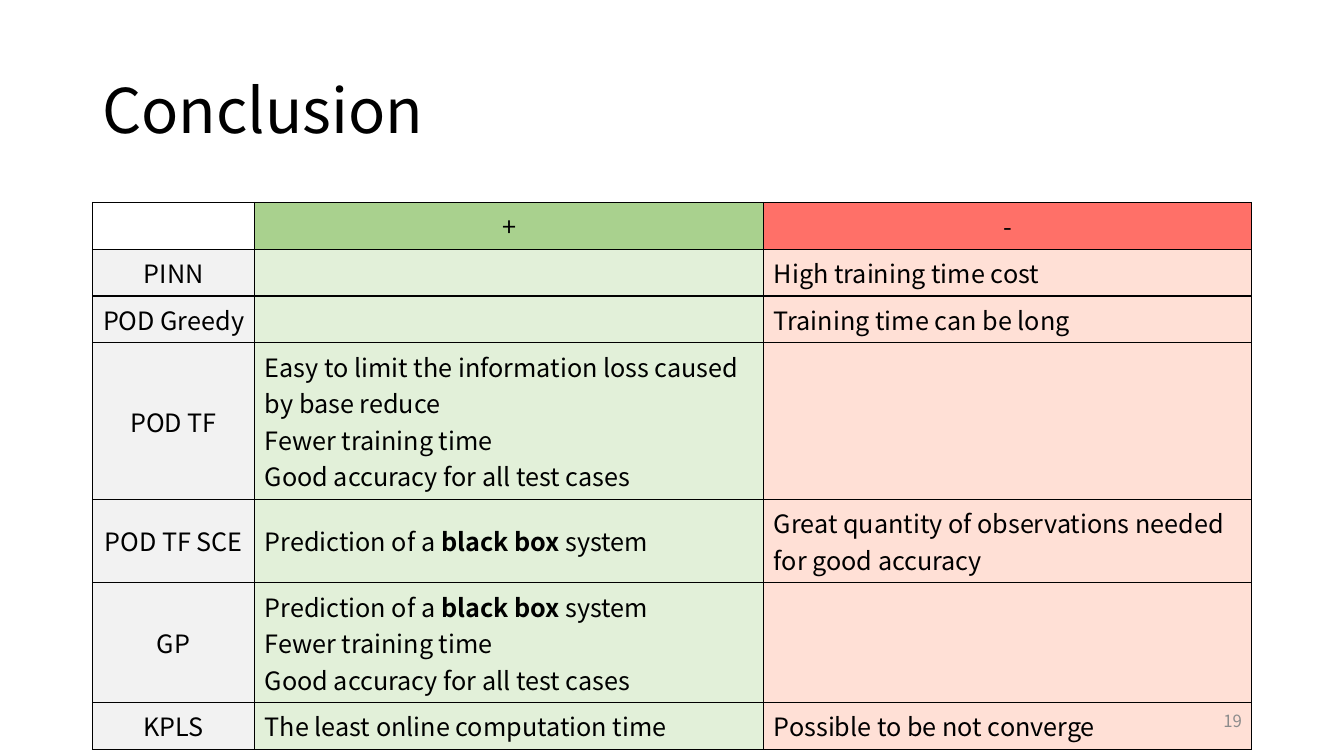
from lxml import etree
from pptx import Presentation
from pptx import util as u
from pptx.dml.color import RGBColor
from pptx.enum import text
from pptx.oxml import ns

FONT = "Noto Sans CJK SC"
BLACK = RGBColor(0x00, 0x00, 0x00)
PAGE_GREY = RGBColor(0x8C, 0x8C, 0x8C)
METHOD_GREY = RGBColor(0xF2, 0xF2, 0xF2)
PLUS_HEADER = RGBColor(0xA9, 0xD1, 0x8E)
PLUS_BODY = RGBColor(0xE2, 0xF0, 0xD9)
MINUS_HEADER = RGBColor(0xFF, 0x70, 0x68)
MINUS_BODY = RGBColor(0xFF, 0xE0, 0xD6)

HEADER_FILLS = (None, PLUS_HEADER, MINUS_HEADER)
BODY_FILLS = (METHOD_GREY, PLUS_BODY, MINUS_BODY)
COLUMN_WIDTHS = (4.09, 12.83, 12.29)
LINE_HEIGHT = 0.92
ROW_PADDING = 0.26
LINES_PER_ROW = (1, 1, 1, 4, 2, 3, 1)
ROW_HEIGHTS = [ROW_PADDING + LINE_HEIGHT * lines for lines in LINES_PER_ROW]

BLACK_BOX = "Prediction of a **black box **system"
FAST_AND_ACCURATE = "Fewer training time\nGood accuracy for all test cases"
COMPARISON = [
    ("", "+", "-"),
    ("PINN", "", "High training time cost"),
    ("POD Greedy", "", "Training time can be long"),
    ("POD TF",
     "Easy to limit the information loss caused by base reduce\n" + FAST_AND_ACCURATE, ""),
    ("POD TF SCE", BLACK_BOX, "Great quantity of observations needed for good accuracy"),
    ("GP", BLACK_BOX + "\n" + FAST_AND_ACCURATE, ""),
    ("KPLS", "The least online computation time", "Possible to be not converge"),
]


def write_text(frame, content, size=18, color=BLACK, align=text.PP_ALIGN.LEFT, spacing=None):
    frame.word_wrap = True
    for index, line in enumerate(content.split("\n")):
        paragraph = frame.paragraphs[0] if index == 0 else frame.add_paragraph()
        paragraph.alignment = align
        paragraph.line_spacing = spacing
        paragraph.font.size = u.Pt(size)
        for position, part in enumerate(line.split("**")):
            if part:
                run = paragraph.add_run()
                run.text = part
                run.font.name = FONT
                run.font.size = u.Pt(size)
                run.font.bold = position % 2 == 1
                run.font.color.rgb = color


def add_text_box(slide, box, content, **text_format):
    shape = slide.shapes.add_textbox(*map(u.Cm, box))
    shape.text_frame.vertical_anchor = text.MSO_ANCHOR.MIDDLE
    write_text(shape.text_frame, content, **text_format)


def style_cell(cell, fill):
    properties = cell._tc.get_or_add_tcPr()
    for side in ("a:lnL", "a:lnR", "a:lnT", "a:lnB"):
        border = etree.SubElement(properties, ns.qn(side), w=str(u.Pt(1)))
        solid = etree.SubElement(border, ns.qn("a:solidFill"))
        etree.SubElement(solid, ns.qn("a:srgbClr"), val=str(BLACK))
    cell.vertical_anchor = text.MSO_ANCHOR.MIDDLE
    if fill is None:
        cell.fill.background()
    else:
        cell.fill.solid()
        cell.fill.fore_color.rgb = fill


def add_comparison(slide, left, top):
    table = slide.shapes.add_table(
        len(COMPARISON), len(COLUMN_WIDTHS), u.Cm(left), u.Cm(top),
        u.Cm(sum(COLUMN_WIDTHS)), u.Cm(sum(ROW_HEIGHTS))).table
    table.first_row = False
    table.horz_banding = False
    for column, width in zip(table.columns, COLUMN_WIDTHS):
        column.width = u.Cm(width)
    for row_index, entries in enumerate(COMPARISON):
        table.rows[row_index].height = u.Cm(ROW_HEIGHTS[row_index])
        fills = BODY_FILLS if row_index else HEADER_FILLS
        for column_index, (entry, fill) in enumerate(zip(entries, fills)):
            cell = table.cell(row_index, column_index)
            style_cell(cell, fill)
            centred = row_index == 0 or column_index == 0
            align = text.PP_ALIGN.CENTER if centred else text.PP_ALIGN.LEFT
            write_text(cell.text_frame, entry, align=align)


def build_conclusion(presentation):
    slide = presentation.slides.add_slide(presentation.slide_layouts[6])
    add_text_box(slide, (2.33, 1.01, 29.21, 3.68), "Conclusion", size=44, spacing=0.9)
    add_comparison(slide, 2.33, 5.1)
    add_text_box(slide, (23.93, 17.65, 7.62, 1.01), "19",
                 size=12, color=PAGE_GREY, align=text.PP_ALIGN.RIGHT)


def main():
    presentation = Presentation()
    presentation.slide_width = u.Cm(33.87)
    presentation.slide_height = u.Cm(19.05)
    build_conclusion(presentation)
    presentation.save("out.pptx")


if __name__ == "__main__":
    main()
